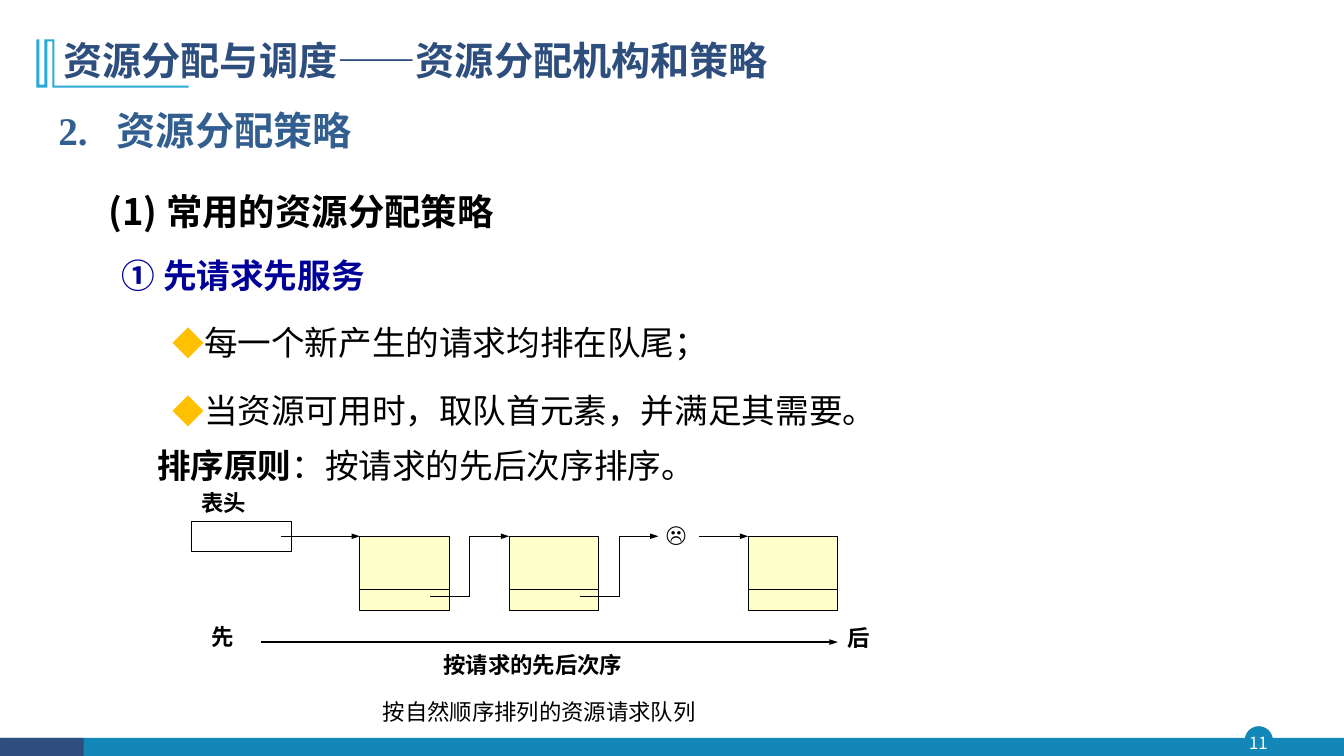
from dataclasses import dataclass
from typing import Optional

import pptx
import pptx.dml.color
import pptx.enum.shapes
import pptx.enum.text
import pptx.oxml.ns
import pptx.util
from lxml import etree

Inches, Pt = pptx.util.Inches, pptx.util.Pt
RGBColor = pptx.dml.color.RGBColor
Shape = pptx.enum.shapes.MSO_SHAPE
Align = pptx.enum.text.PP_ALIGN
Anchor = pptx.enum.text.MSO_ANCHOR
qn = pptx.oxml.ns.qn

BLACK = RGBColor(0x00, 0x00, 0x00)
WHITE = RGBColor(0xFF, 0xFF, 0xFF)
NAVY = RGBColor(0x2E, 0x4E, 0x7E)
TEAL = RGBColor(0x13, 0x87, 0xB7)
SKY = RGBColor(0x28, 0xA9, 0xD6)
STEEL = RGBColor(0x33, 0x5F, 0x90)
DEEP_BLUE = RGBColor(0x00, 0x00, 0x99)
GOLD = RGBColor(0xFF, 0xC0, 0x00)
CREAM = RGBColor(0xFF, 0xFF, 0xCC)
SANS, SERIF = "Noto Sans CJK SC", "Times New Roman"


@dataclass
class Item:
    text: str
    size: float = 24
    font: str = SANS
    color: RGBColor = BLACK
    bold: bool = False
    lead: str = ""  # bold words before the text
    left: float = 0
    hang: float = 0
    spacing: float = 1.0
    before: float = 0
    bullet: str = ""
    align: Optional[Align] = None


@dataclass
class Label:
    text: str
    left: float
    top: float
    width: float
    bold: bool = True
    align: Optional[Align] = None


def add_run(paragraph, text: str, *, size: float, font: str,
            color: RGBColor, bold: bool) -> None:
    run = paragraph.add_run()
    run.text = text
    run.font.size, run.font.bold, run.font.name = Pt(size), bold, font
    run.font.color.rgb = color
    etree.SubElement(run.font._element, qn("a:ea"), typeface=SANS)


def add_item(paragraph, item: Item) -> None:
    paragraph.alignment = item.align
    paragraph.line_spacing = item.spacing
    paragraph.space_before = Pt(item.before)
    props = paragraph._p.get_or_add_pPr()
    props.set("marL", str(Inches(item.left)))
    props.set("indent", str(Inches(-item.hang)))
    if item.bullet:
        color = etree.SubElement(props, qn("a:buClr"))
        etree.SubElement(color, qn("a:srgbClr"), val=str(GOLD))
        etree.SubElement(props, qn("a:buSzPct"), val="95000")
        etree.SubElement(props, qn("a:buFont"), typeface=SANS)
        etree.SubElement(props, qn("a:buChar"), char=item.bullet)
    style = dict(size=item.size, font=item.font, color=item.color)
    if item.lead:
        add_run(paragraph, item.lead, bold=True, **style)
    add_run(paragraph, item.text, bold=item.bold, **style)


def add_text(slide, items: list[Item], left: float, top: float, width: float,
             height: float, *, anchor: Anchor = Anchor.TOP,
             inset: Optional[float] = None) -> None:
    frame = slide.shapes.add_textbox(
        Inches(left), Inches(top), Inches(width), Inches(height)).text_frame
    frame.word_wrap = True
    frame.vertical_anchor = anchor
    if inset is not None:
        frame.margin_left = frame.margin_right = Inches(inset)
        frame.margin_top = frame.margin_bottom = Inches(inset)
    for index, item in enumerate(items):
        add_item(frame.add_paragraph() if index else frame.paragraphs[0], item)


def paint(shape, fill: RGBColor, line: Optional[RGBColor], weight: float = 0.75) -> None:
    shape.shadow.inherit = False
    shape.fill.solid()
    shape.fill.fore_color.rgb = fill
    if line is None:
        shape.line.fill.background()
    else:
        shape.line.color.rgb = line
        shape.line.width = Pt(weight)


def add_block(slide, left: float, top: float, width: float, height: float,
              fill: RGBColor, line: Optional[RGBColor] = None,
              kind: Shape = Shape.RECTANGLE) -> None:
    paint(slide.shapes.add_shape(kind, Inches(left), Inches(top), Inches(width),
                                 Inches(height)), fill, line)


def add_line(slide, x1: float, y1: float, x2: float, y2: float,
             weight: float = 0.75, arrow: bool = False) -> None:
    line = slide.shapes.add_connector(
        pptx.enum.shapes.MSO_CONNECTOR.STRAIGHT,
        Inches(x1), Inches(y1), Inches(x2), Inches(y2))
    line.line.color.rgb = BLACK
    line.line.width = Pt(weight)
    if arrow:
        etree.SubElement(line.line._get_or_add_ln(), qn("a:tailEnd"),
                         type="triangle", w="sm", len="med")
    etree.SubElement(line._element.spPr, qn("a:effectLst"))


def add_frame(slide) -> None:
    # Footer and page number
    add_block(slide, 12.35, 7.21, 0.27, 0.27, TEAL, TEAL, Shape.OVAL)
    add_block(slide, 0.01, 7.32, 13.32, 0.19, TEAL)
    add_block(slide, 0, 7.32, 0.83, 0.19, NAVY)
    add_text(slide, [Item("11", 12, color=WHITE, align=Align.CENTER)],
             12.32, 7.21, 0.32, 0.31, anchor=Anchor.MIDDLE, inset=0)
    # Title ornament, in hundredths of an inch
    ornament = slide.shapes.build_freeform(54, 39, scale=Inches(0.01))
    ornament.add_line_segments(
        [(54, 85), (187, 85), (187, 87), (52, 87), (52, 41), (47, 41), (47, 87),
         (36, 87), (36, 39), (39, 39), (39, 84), (44, 84), (44, 39)], close=True)
    paint(ornament.convert_to_shape(), SKY, None)


def add_queue(slide) -> None:
    top, width, height = 5.32, 0.89, 0.74
    divider, pointer = top + 0.53, top + 0.6
    nodes = (3.57, 5.05, 7.42)
    # List head and queue nodes
    add_block(slide, 1.9, 5.17, 0.99, 0.3, WHITE, BLACK)
    for left in nodes:
        add_block(slide, left, top, width, height, CREAM, BLACK)
        add_line(slide, left, divider, left + width, divider)
    # Links that step up to the next element
    for left in nodes[:2]:
        bend = left + 1.09
        add_line(slide, left + 0.7, pointer, bend, pointer)
        add_line(slide, bend, top, bend, pointer)
        add_line(slide, bend, top, bend + 0.39, top, 1, arrow=True)
    for start, end in ((2.79, nodes[0]), (6.93, nodes[2])):
        add_line(slide, start, top, end, top, 1, arrow=True)
    # Order arrow
    add_line(slide, 2.59, 6.37, 8.31, 6.37, 2, arrow=True)
    # Labels
    for label in (
        Label(" ☹ ", 6.45, 5.11, 0.62),
        Label("表头", 1.9, 4.8, 1.09),
        Label("先", 2, 6.13, 0.59),
        Label("后", 8.31, 6.14, 0.59),
        Label("按请求的先后次序", 4.3, 6.41, 2.96),
        Label("按自然顺序排列的资源请求队列", 3.13, 6.88, 4.44, False, Align.CENTER),
    ):
        add_text(slide, [Item(label.text, 16, SERIF, bold=label.bold, align=label.align)],
                 label.left, label.top, label.width, 0.37)


def main() -> None:
    deck = pptx.Presentation()
    deck.slide_width, deck.slide_height = Inches(13.33), Inches(7.5)
    slide = deck.slides.add_slide(deck.slide_layouts[6])
    add_frame(slide)
    # Title and body
    add_text(slide, [Item("资源分配与调度——资源分配机构和策略", 28, color=NAVY,
                          bold=True, spacing=0.9)],
             0.53, 0.34, 10.49, 0.56, anchor=Anchor.MIDDLE)
    rule = dict(left=1.38, hang=0.25, spacing=1.5, before=5, bullet="◆")
    add_text(slide, [
        Item("2.\t资源分配策略", 28, SERIF, STEEL, True, left=0.58, hang=0.58,
             spacing=1.2),
        Item("(1) 常用的资源分配策略", 26, bold=True, left=0.5, spacing=1.5, before=10),
        Item("① 先请求先服务", 24, SERIF, DEEP_BLUE, True, left=1, hang=0.37,
             spacing=1.3, before=7),
        Item("每一个新产生的请求均排在队尾；", **rule),
        Item("当资源可用时，取队首元素，并满足其需要。", **rule),
        Item("：按请求的先后次序排序。", font=SERIF, lead="排序原则", left=0.98,
             spacing=1.2, before=5),
    ], 0.48, 0.91, 9.24, 3.99)
    add_queue(slide)
    deck.save("out.pptx")


if __name__ == "__main__":
    main()
